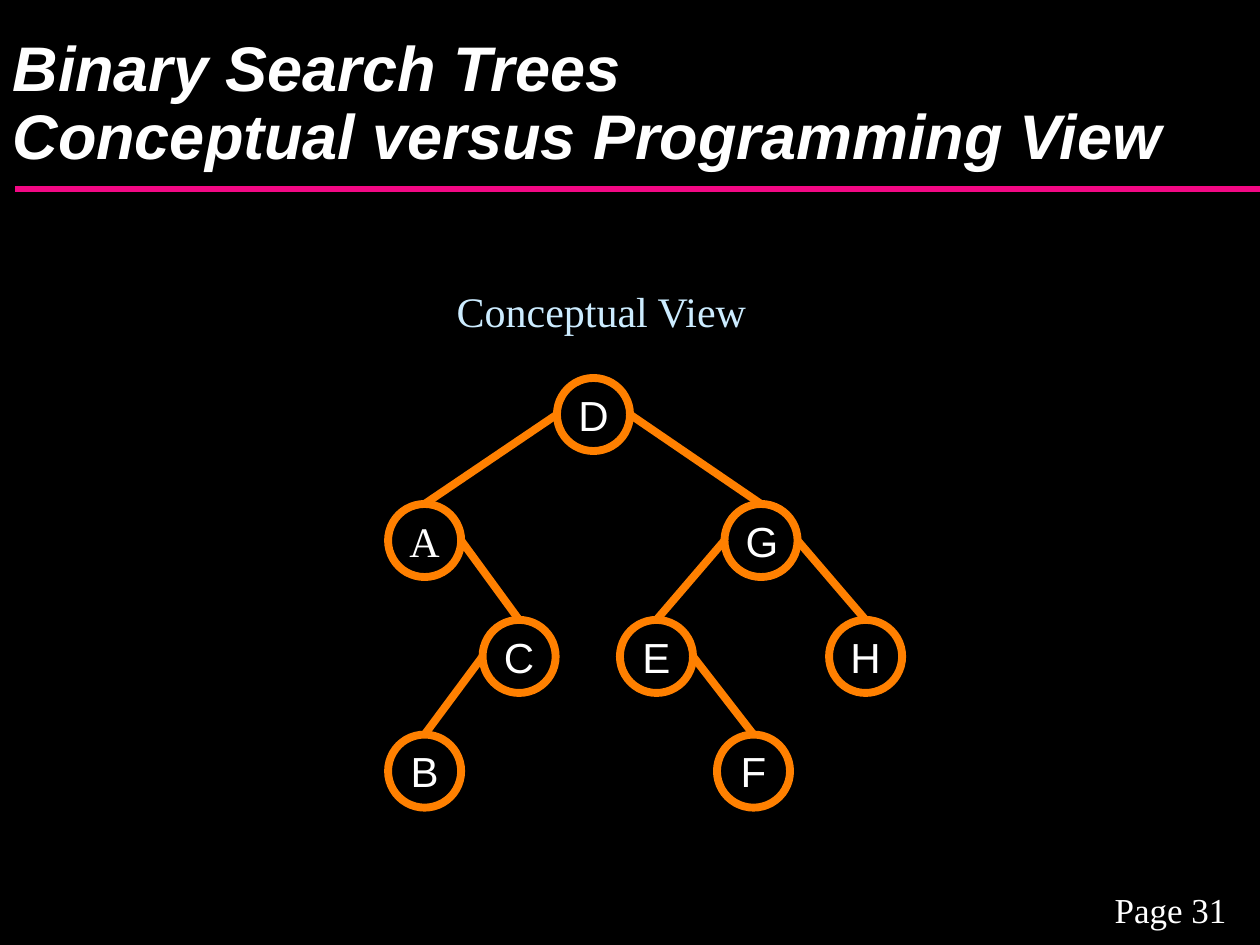
from pptx import Presentation
from pptx.dml.color import RGBColor
from pptx.enum.shapes import MSO_CONNECTOR, MSO_SHAPE
from pptx.enum.text import MSO_ANCHOR, MSO_AUTO_SIZE, PP_ALIGN
from pptx.oxml.ns import qn
from pptx.util import Inches, Pt

STRAIGHT = MSO_CONNECTOR.STRAIGHT
OVAL = MSO_SHAPE.OVAL
TOP, MIDDLE, BOTTOM = MSO_ANCHOR.TOP, MSO_ANCHOR.MIDDLE, MSO_ANCHOR.BOTTOM
LEFT, CENTER, RIGHT = PP_ALIGN.LEFT, PP_ALIGN.CENTER, PP_ALIGN.RIGHT
NO_AUTOFIT = MSO_AUTO_SIZE.NONE

BLACK = RGBColor(0x00, 0x00, 0x00)
WHITE = RGBColor(0xFF, 0xFF, 0xFF)
PINK = RGBColor(0xF2, 0x08, 0x84)
ORANGE = RGBColor(0xFF, 0x80, 0x00)
PALE_BLUE = RGBColor(0xCC, 0xEC, 0xFF)
SANS, SERIF = "Arial", "Times New Roman"

TITLE = "Binary Search Trees\vConceptual versus Programming View"
CAPTION = "Conceptual View"
PAGE_LABEL = "Page 31"
LEVEL_TOPS = [3, 4, 4.92, 5.83]
NODES = {
    "D": (4.42, 0), "A": (3.08, 1), "G": (5.75, 1), "C": (3.83, 2),
    "B": (3.08, 3), "H": (6.58, 2), "E": (4.92, 2), "F": (5.69, 3),
}
EDGES = ["DA", "DG", "CB", "GH", "EF", "GE", "AC"]
NODE_SIZE = 0.58
LABEL_WIDTH, LABEL_HEIGHT = 0.44, 0.5


def style_text(frame, text, size, font, color, align, anchor=TOP, spacing=None):
    frame.text = text
    frame.vertical_anchor = anchor
    para = frame.paragraphs[0]
    para.alignment = align
    para.line_spacing = spacing
    for span in para.runs:
        span.font.size = Pt(size)
        span.font.name = font
        span.font.color.rgb = color


def add_text(slide, area, wrap, *style):
    box = slide.shapes.add_textbox(*map(Inches, area))
    box.text_frame.word_wrap = wrap
    style_text(box.text_frame, *style)


def add_line(slide, start, end, color, width):
    line = slide.shapes.add_connector(STRAIGHT, *map(Inches, start + end))
    line.line.color.rgb = color
    line.line.width = Pt(width)
    properties = line._element.spPr
    properties.append(properties.makeelement(qn("a:effectLst"), {}))


def add_title(slide):
    title = slide.shapes.title
    title.left, title.top, title.width, title.height = map(Inches, (0, 0, 10, 1.42))
    frame = title.text_frame
    style_text(frame, TITLE, 36, SANS, WHITE, LEFT, BOTTOM, 0.89)
    frame.word_wrap = True
    frame.auto_size = NO_AUTOFIT
    for span in frame.paragraphs[0].runs:
        span.font.bold = True
        span.font.italic = True


def add_tree(slide):
    half = NODE_SIZE / 2
    centers = {}
    for name, (left, level) in NODES.items():
        top = LEVEL_TOPS[level]
        centers[name] = (left + half, top + half)
        node = slide.shapes.add_shape(OVAL, *map(Inches, (left, top, NODE_SIZE, NODE_SIZE)))
        node.shadow.inherit = False
        node.fill.background()
        node.line.color.rgb = ORANGE
        node.line.width = Pt(4.5)

    for name, (x, y) in centers.items():
        area = (x - LABEL_WIDTH / 2, y - LABEL_HEIGHT / 2, LABEL_WIDTH, LABEL_HEIGHT)
        font = SERIF if name == "A" else SANS
        add_text(slide, area, False, name, 24, font, WHITE, CENTER, MIDDLE)

    for parent, child in EDGES:
        (parent_x, parent_y), (child_x, child_y) = centers[parent], centers[child]
        side = half if child_x > parent_x else -half
        add_line(slide, (parent_x + side, parent_y), (child_x, child_y - half), ORANGE, 4.5)


def main():
    deck = Presentation()
    deck.slide_width, deck.slide_height = Inches(10), Inches(7.5)
    slide = deck.slides.add_slide(deck.slide_layouts[5])
    slide.background.fill.solid()
    slide.background.fill.fore_color.rgb = BLACK

    add_line(slide, (0.12, 1.5), (10, 1.5), PINK, 3.75)
    add_text(slide, (8.58, 7, 1.42, 0.43), True, PAGE_LABEL, 20, SERIF, WHITE, CENTER)
    add_tree(slide)
    add_title(slide)
    add_text(slide, (3.5, 2.42, 2.52, 0.26), False,
             CAPTION, 24, SERIF, PALE_BLUE, RIGHT, TOP, 0.4)
    deck.save("out.pptx")


if __name__ == "__main__":
    main()
